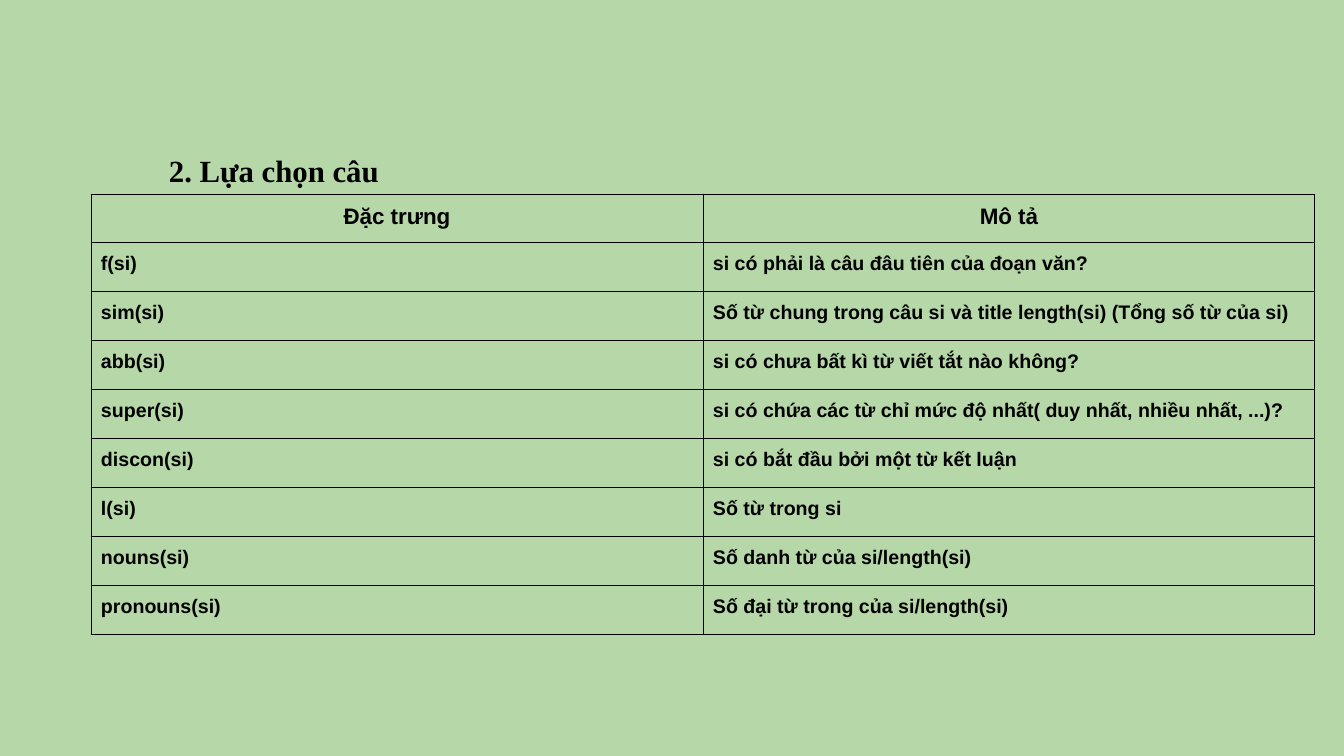
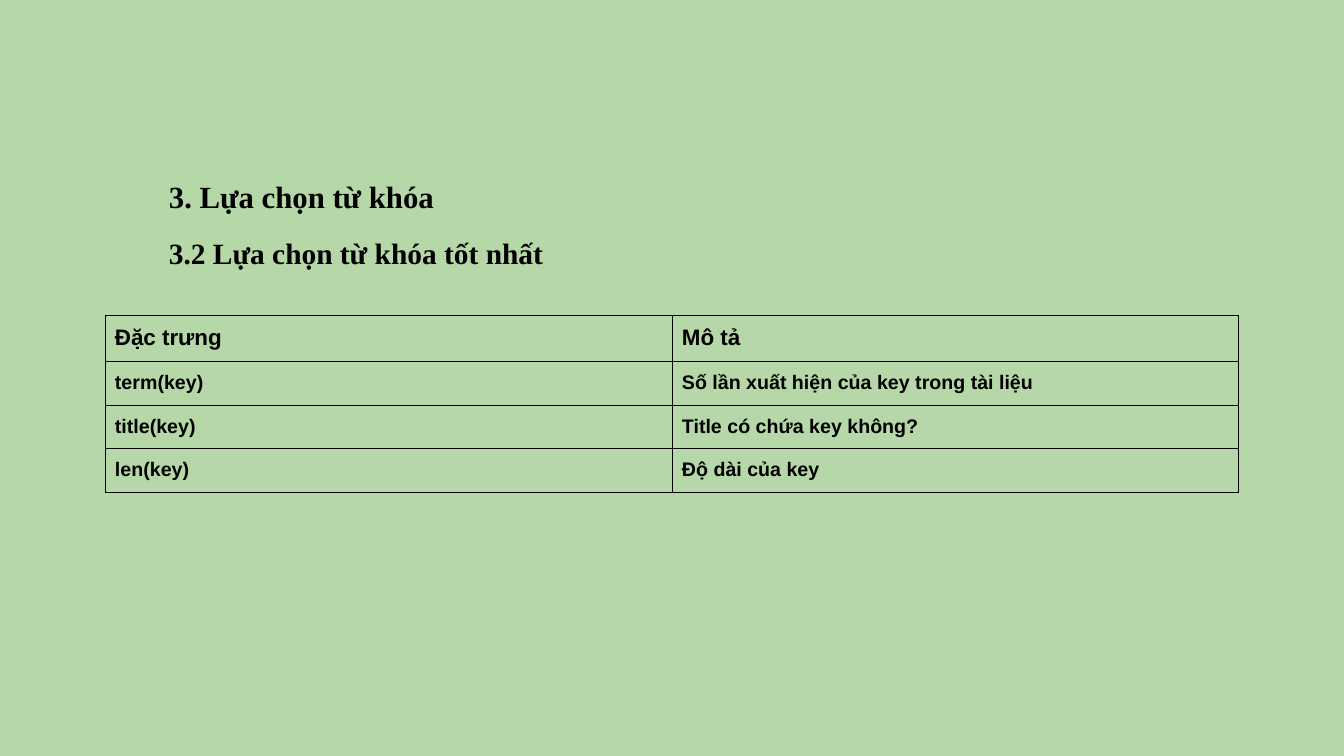
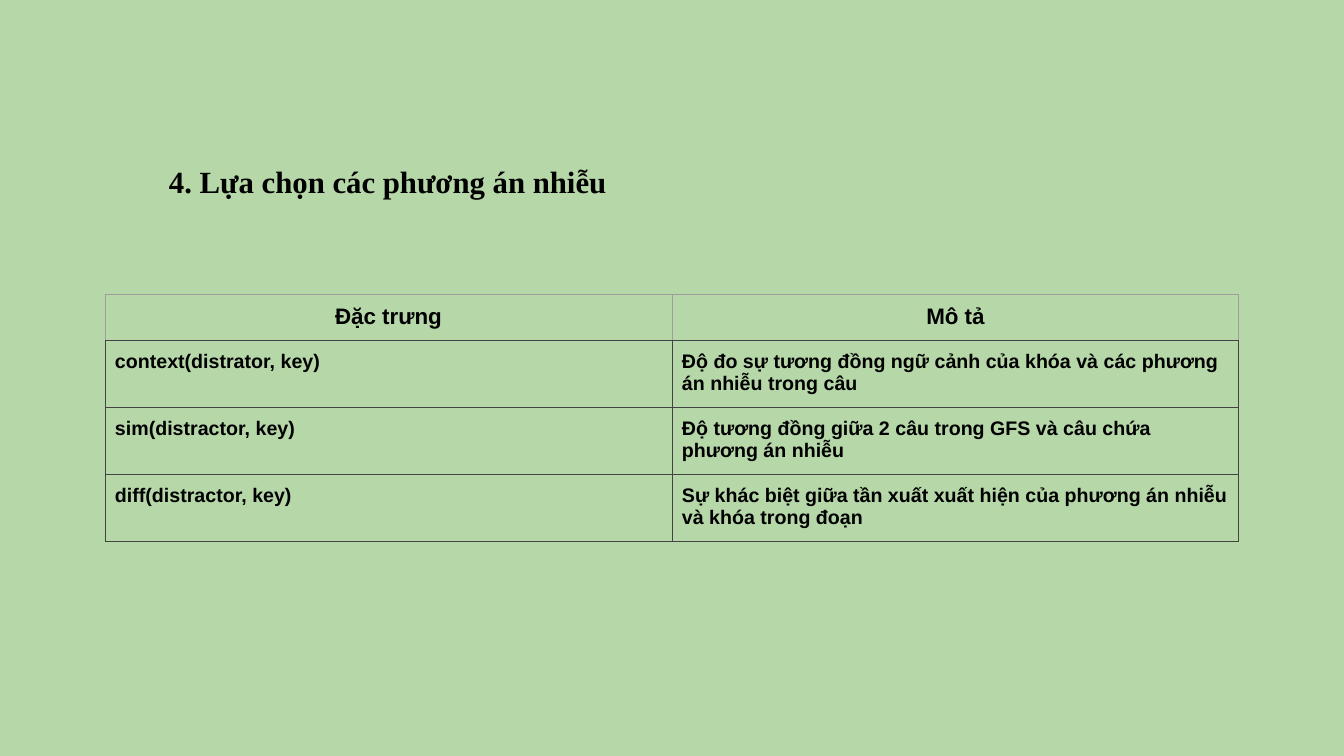
import pptx
import pptx.util
import pptx.dml.color
import pptx.enum.text
import pptx.oxml.ns
import lxml.etree

# Content: headings are (text, point size), rows are (feature, description)
COLUMNS = ("Đặc trưng", "Mô tả")
SLIDES = [
    {
        "headings": [("2. Lựa chọn câu", 22)],
        "heading_top": 143, "heading_height": 151, "heading_spacing": 1.1,
        "table_left": 91, "table_top": 194, "column_width": 612,
        "header_height": 49, "row_height": 49,
        "header_centred": True, "header_border": "000000", "border": "000000",
        "rows": [
            ("f(si)", "si có phải là câu đâu tiên của đoạn văn?"),
            ("sim(si)", "Số từ chung trong câu si và title length(si) (Tổng số từ của si)"),
            ("abb(si)", "si có chưa bất kì từ viết tắt nào không?"),
            ("super(si)", "si có chứa các từ chỉ mức độ nhất( duy nhất, nhiều nhất, ...)?"),
            ("discon(si)", "si có bắt đầu bởi một từ kết luận"),
            ("l(si)", "Số từ trong si"),
            ("nouns(si)", "Số danh từ của si/length(si)"),
            ("pronouns(si)", "Số đại từ trong của si/length(si)"),
        ],
    },
    {
        "headings": [("3. Lựa chọn từ khóa", 22), ("3.2 Lựa chọn từ khóa tốt nhất", 21)],
        "heading_top": 165, "heading_height": 327, "heading_spacing": 1.2,
        "table_left": 105, "table_top": 315, "column_width": 567,
        "header_height": 45, "row_height": 42,
        "header_centred": False, "header_border": "000000", "border": "000000",
        "rows": [
            ("term(key)", "Số lần xuất hiện của key trong tài liệu"),
            ("title(key)", "Title có chứa key không?"),
            ("len(key)", "Độ dài của key"),
        ],
    },
    {
        "headings": [("4. Lựa chọn các phương án nhiễu", 22)],
        "heading_top": 150, "heading_height": 327, "heading_spacing": 1.2,
        "table_left": 105, "table_top": 294, "column_width": 567,
        "header_height": 45, "row_height": 64,
        "header_centred": True, "header_border": "9E9E9E", "border": "434343",
        "rows": [
            ("context(distrator, key)",
             "Độ đo sự tương đồng ngữ cảnh của khóa và các phương án nhiễu trong câu"),
            ("sim(distractor, key)",
             "Độ tương đồng giữa 2 câu trong GFS và câu chứa phương án nhiễu"),
            ("diff(distractor, key)",
             "Sự khác biệt giữa tần xuất xuất hiện của phương án nhiễu và khóa trong đoạn"),
        ],
    },
]

# Shared style
BACKGROUND, INK = "B6D7A8", "000000"
HEADING_FONT, TABLE_FONT = "Times New Roman", "Arial"
HEADER_SIZE, BODY_SIZE = 16, 14
HEADING_LEFT, HEADING_WIDTH = 159, 958
CELL_MARGIN = 10
BORDER_WIDTH = 0.75


def px(length):
    return pptx.util.Emu(round(length * 914400 / 100.8))


def colour(value):
    return pptx.dml.color.RGBColor.from_string(value)


def style(paragraph, font_name, size):
    font = paragraph.font
    font.name, font.size, font.bold = font_name, pptx.util.Pt(size), True
    font.color.rgb = colour(INK)


def set_borders(cell, sides):
    """sides lists (tag, colour) in schema order: lnL, lnR, lnT, lnB."""
    qn = pptx.oxml.ns.qn
    properties = cell._tc.get_or_add_tcPr()
    for position, (tag, value) in enumerate(sides):
        line = lxml.etree.Element(qn("a:" + tag), w=str(pptx.util.Pt(BORDER_WIDTH)))
        fill = lxml.etree.SubElement(line, qn("a:solidFill"))
        lxml.etree.SubElement(fill, qn("a:srgbClr"), val=value)
        properties.insert(position, line)


def add_headings(slide, content):
    box = slide.shapes.add_textbox(px(HEADING_LEFT), px(content["heading_top"]),
                                   px(HEADING_WIDTH), px(content["heading_height"]))
    frame = box.text_frame
    frame.word_wrap = True
    for index, (text, size) in enumerate(content["headings"]):
        paragraph = frame.add_paragraph() if index else frame.paragraphs[0]
        paragraph.text = text
        paragraph.line_spacing = content["heading_spacing"]
        paragraph.space_before = pptx.util.Pt(10 if index else 0)
        style(paragraph, HEADING_FONT, size)


def add_features(slide, content):
    rows = [COLUMNS] + content["rows"]
    heights = [content["header_height"]] + [content["row_height"]] * len(content["rows"])
    table = slide.shapes.add_table(
        len(rows), len(COLUMNS), px(content["table_left"]), px(content["table_top"]),
        px(content["column_width"] * len(COLUMNS)), px(sum(heights))).table
    table.first_row = table.horz_banding = False
    for column in table.columns:
        column.width = px(content["column_width"])

    for r, (texts, height) in enumerate(zip(rows, heights)):
        header = r == 0
        edge = content["header_border"] if header else content["border"]
        table.rows[r].height = px(height)
        for c, text in enumerate(texts):
            cell = table.cell(r, c)
            cell.margin_left = cell.margin_right = px(CELL_MARGIN)
            cell.margin_top = cell.margin_bottom = px(CELL_MARGIN)
            cell.fill.background()
            set_borders(cell, [("lnL", edge), ("lnR", edge), ("lnT", edge),
                               ("lnB", content["border"])])
            cell.text = text
            paragraph = cell.text_frame.paragraphs[0]
            style(paragraph, TABLE_FONT, HEADER_SIZE if header else BODY_SIZE)
            if header and content["header_centred"]:
                paragraph.alignment = pptx.enum.text.PP_ALIGN.CENTER


def main():
    deck = pptx.Presentation()
    deck.slide_width, deck.slide_height = px(1344), px(756)
    backdrop = deck.slide_master.background.fill
    backdrop.solid()
    backdrop.fore_color.rgb = colour(BACKGROUND)
    for content in SLIDES:
        slide = deck.slides.add_slide(deck.slide_layouts[6])
        add_headings(slide, content)
        add_features(slide, content)
    deck.save("out.pptx")


if __name__ == "__main__":
    main()
